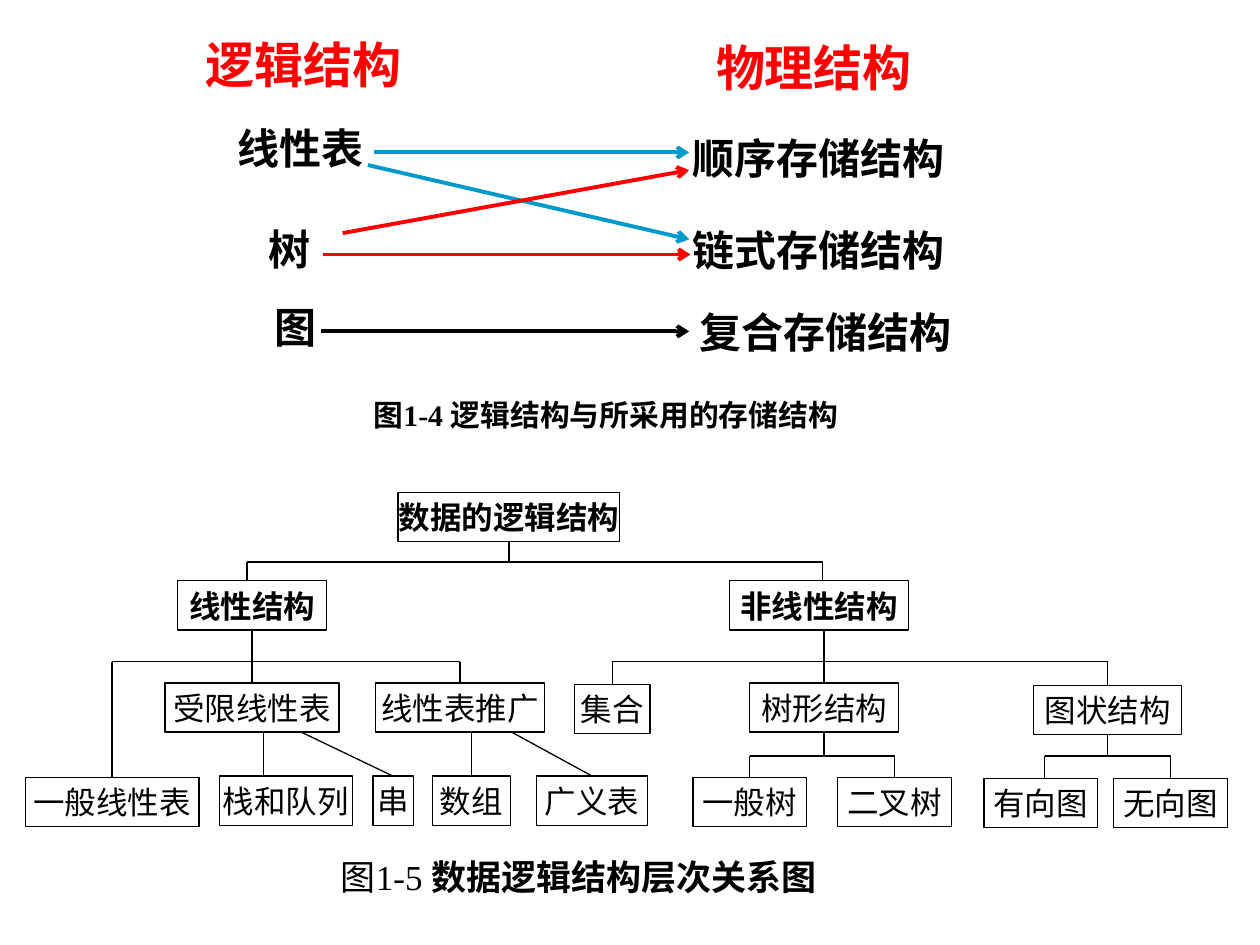
"""Build a slide on logical and physical data structures and their hierarchy."""
from lxml import etree
from pptx import Presentation
from pptx.dml.color import RGBColor
from pptx.enum.shapes import MSO_CONNECTOR, MSO_SHAPE
from pptx.enum.text import MSO_ANCHOR, PP_ALIGN
from pptx.oxml.ns import qn
from pptx.util import Inches, Pt

RECTANGLE = MSO_SHAPE.RECTANGLE
STRAIGHT = MSO_CONNECTOR.STRAIGHT
MIDDLE = MSO_ANCHOR.MIDDLE
CENTER = PP_ALIGN.CENTER
TOP, BOTTOM = 0, 2

THEME = {
    "black": RGBColor(0x00, 0x00, 0x00),
    "red": RGBColor(0xFF, 0x00, 0x00),
    "blue": RGBColor(0x00, 0x99, 0xCC),
    "latin": "Times New Roman",
    "chinese": "Noto Sans CJK SC",
    "heading": Pt(28),
    "term": Pt(24),
    "hierarchy_caption": Pt(20),
    "node": Pt(18),
    "storage_caption": Pt(17),
    "thin": Pt(0.75),
    "thick": Pt(2.25),
}

prs = Presentation()
prs.slide_width, prs.slide_height = Inches(10), Inches(7.5)
slide = prs.slides.add_slide(prs.slide_layouts[6])


def write(shape, parts, size, color="black", wrap=False):
    """Fill a shape with centred runs given as (text, bold, latin font)."""
    frame = shape.text_frame
    frame.word_wrap = wrap
    frame.vertical_anchor = MIDDLE
    frame.margin_left = frame.margin_right = 0
    paragraph = frame.paragraphs[0]
    paragraph.alignment = CENTER
    for text, bold, font in parts:
        run = paragraph.add_run()
        run.text = text
        run.font.size = THEME[size]
        run.font.bold = bold
        run.font.name = THEME[font]
        run.font.color.rgb = THEME[color]
        east_asian = etree.SubElement(run.font._element, qn("a:ea"))
        east_asian.set("typeface", THEME["chinese"])
    return paragraph


def draw_line(x1, y1, x2, y2, color="black", weight="thin"):
    """Draw a straight connector without a shadow."""
    line = slide.shapes.add_connector(
        STRAIGHT, Inches(x1), Inches(y1), Inches(x2), Inches(y2))
    line.line.color.rgb = THEME[color]
    line.line.width = THEME[weight]
    etree.SubElement(line._element.spPr, qn("a:effectLst"))
    return line


nodes = [
    ("数据的逻辑结构", 3.16, 3.91, 1.76, True),
    ("线性结构", 1.41, 4.61, 1.18, True),
    ("非线性结构", 5.79, 4.61, 1.42, True),
    ("受限线性表", 1.31, 5.42, 1.38, False),
    ("线性表推广", 2.98, 5.42, 1.34, False),
    ("集合", 4.56, 5.43, 0.6, False),
    ("树形结构", 5.95, 5.42, 1.18, False),
    ("图状结构", 8.2, 5.44, 1.18, False),
    ("一般线性表", 0.2, 6.17, 1.38, False),
    ("栈和队列", 1.74, 6.16, 1.06, False),
    ("串", 2.96, 6.16, 0.32, False),
    ("数组", 3.43, 6.16, 0.62, False),
    ("广义表", 4.26, 6.16, 0.88, False),
    ("一般树", 5.5, 6.17, 0.9, False),
    ("二叉树", 6.65, 6.17, 0.9, False),
    ("有向图", 7.81, 6.18, 0.9, False),
    ("无向图", 8.84, 6.18, 0.9, False),
]
boxes = {}
for name, left, top, width, bold in nodes:
    box = slide.shapes.add_shape(
        RECTANGLE, Inches(left), Inches(top), Inches(width), Inches(0.39))
    box.shadow.inherit = False
    box.fill.background()
    box.line.color.rgb = THEME["black"]
    box.line.width = THEME["thin"]
    write(box, [(name, bold, "latin")], "node")
    boxes[name] = box

branches = [
    (4.04, 4.3, 4.04, 4.46, "数据的逻辑结构", None),
    (1.96, 4.46, 6.53, 4.46, None, None),
    (1.96, 4.46, 1.96, 4.61, None, None),
    (6.53, 4.46, 6.53, 4.61, None, None),
    (2, 5, 2, 5.42, "线性结构", "受限线性表"),
    (0.89, 5.25, 3.65, 5.25, None, None),
    (0.89, 5.25, 0.89, 6.17, None, "一般线性表"),
    (3.65, 5.25, 3.65, 5.42, None, "线性表推广"),
    (6.54, 5, 6.54, 5.42, None, "树形结构"),
    (4.86, 5.25, 8.79, 5.25, None, None),
    (4.86, 5.25, 4.86, 5.43, None, "集合"),
    (8.79, 5.25, 8.79, 5.44, None, "图状结构"),
    (2.09, 5.81, 2.09, 6.16, None, None),
    (2.39, 5.81, 3.12, 6.16, None, "串"),
    (3.74, 5.81, 3.74, 6.16, None, "数组"),
    (4.06, 5.81, 4.7, 6.16, None, "广义表"),
    (6.54, 5.81, 6.54, 6, "树形结构", None),
    (5.95, 6, 7.1, 6, None, None),
    (5.95, 6, 5.95, 6.17, None, "一般树"),
    (7.1, 6, 7.1, 6.17, None, "二叉树"),
    (8.79, 5.83, 8.79, 6, "图状结构", None),
    (8.29, 6, 9.29, 6, None, None),
    (8.29, 6, 8.29, 6.18, None, None),
    (9.29, 6, 9.29, 6.18, None, "无向图"),
]
for x1, y1, x2, y2, parent, child in branches:
    branch = draw_line(x1, y1, x2, y2)
    if parent:
        branch.begin_connect(boxes[parent], BOTTOM)
    if child:
        branch.end_connect(boxes[child], TOP)

labels = [
    ("逻辑结构", 1.51, 0.26, 1.8, 0.5, "heading", "red"),
    ("物理结构", 5.56, 0.28, 1.8, 0.5, "heading", "red"),
    ("线性表", 1.72, 0.96, 1.33, 0.42, "term", "black"),
    ("树", 1.88, 1.76, 0.83, 0.42, "term", "black"),
    ("图", 1.97, 2.38, 0.75, 0.42, "term", "black"),
    ("顺序存储结构", 5.4, 1, 2.2, 0.5, "term", "black"),
    ("链式存储结构", 5.4, 1.73, 2.2, 0.5, "term", "black"),
    ("复合存储结构", 5.45, 2.38, 2.2, 0.5, "term", "black"),
]
for text, left, top, width, height, size, color in labels:
    label = slide.shapes.add_textbox(
        Inches(left), Inches(top), Inches(width), Inches(height))
    write(label, [(text, True, "latin")], size, color)

captions = [
    ("1-4 ", "逻辑结构与所采用的存储结构", 2.31, 3.1, 5, 0.42, "storage_caption", True, 0.9),
    ("1-5 ", "数据逻辑结构层次关系图", 2.29, 6.71, 4.61, 0.5, "hierarchy_caption", False, 1.0),
]
for number, title, left, top, width, height, size, bold, spacing in captions:
    caption = slide.shapes.add_textbox(
        Inches(left), Inches(top), Inches(width), Inches(height))
    parts = [("图", bold, "chinese"), (number, bold, "latin"), (title, True, "chinese")]
    write(caption, parts, size, wrap=True).line_spacing = spacing

storage_arrows = [
    (2.97, 1.21, 5.47, 1.21, "blue"),
    (2.92, 1.31, 5.47, 1.9, "blue"),
    (2.72, 1.85, 5.47, 1.35, "red"),
    (2.56, 2.02, 5.48, 2.02, "red"),
    (2.55, 2.63, 5.47, 2.63, "black"),
]
for x1, y1, x2, y2, color in storage_arrows:
    arrow = draw_line(x1, y1, x2, y2, color, "thick")
    etree.SubElement(arrow.line._get_or_add_ln(), qn("a:tailEnd"), type="arrow")

prs.save("out.pptx")
